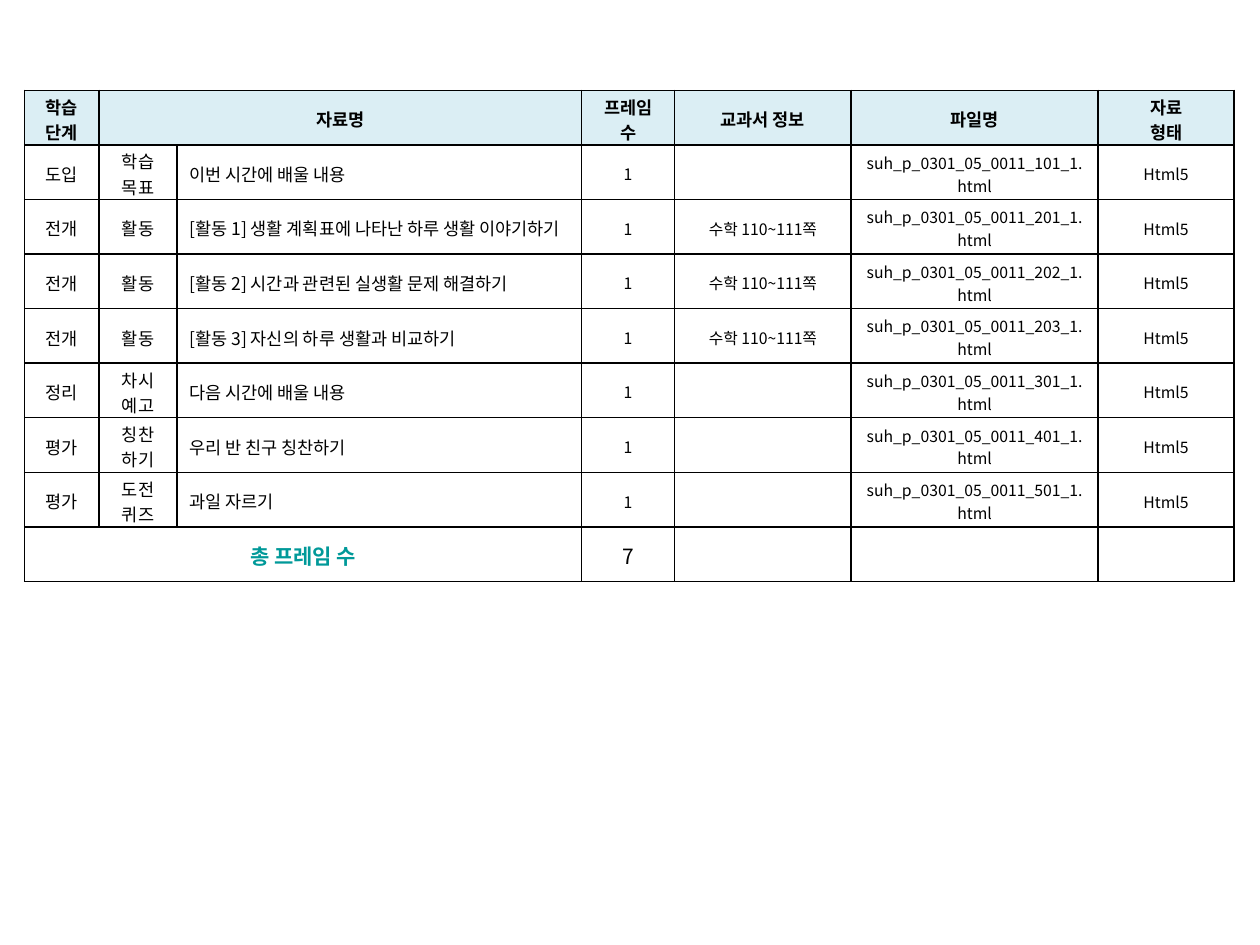
from lxml.etree import SubElement
from pptx import Presentation
from pptx.dml.color import RGBColor
from pptx.enum.text import MSO_ANCHOR, PP_ALIGN
from pptx.oxml.ns import qn
from pptx.util import Pt

FONT = "Noto Sans CJK KR"
COLORS = {"text": "000000", "border": "000000", "header": "DBEEF4", "total": "009999"}
COLUMN_WIDTHS = [42.48, 44.64, 231.12, 53.28, 100.8, 141.12, 77.76]
HEADINGS = ["학습 단계", "자료명", "", "프레임 수", "교과서 정보", "파일명", "자료\n형태"]
TEXTBOOK = "수학 110~111쪽"
LESSONS = [
    ("도입", "학습 목표", "이번 시간에 배울 내용", "", 101),
    ("전개", "활동", "[활동 1] 생활 계획표에 나타난 하루 생활 이야기하기", TEXTBOOK, 201),
    ("전개", "활동", "[활동 2] 시간과 관련된 실생활 문제 해결하기", TEXTBOOK, 202),
    ("전개", "활동", "[활동 3] 자신의 하루 생활과 비교하기", TEXTBOOK, 203),
    ("정리", "차시 예고", "다음 시간에 배울 내용", "", 301),
    ("평가", "칭찬\n하기", "우리 반 친구 칭찬하기", "", 401),
    ("평가", "도전\n퀴즈", "과일 자르기", "", 501),
]


def add_borders(cell):
    """Draw a thin solid line on all four sides of a cell."""
    properties = cell._tc.get_or_add_tcPr()
    for side in ("a:lnL", "a:lnR", "a:lnT", "a:lnB"):
        line = SubElement(properties, qn(side), w=str(Pt(1)))
        fill = SubElement(line, qn("a:solidFill"))
        SubElement(fill, qn("a:srgbClr"), val=COLORS["border"])


def fill_cell(cell, text, size, bold=False, color="text", align=PP_ALIGN.CENTER, fill=None):
    """Write and format one table cell."""
    add_borders(cell)
    if fill:
        cell.fill.solid()
        cell.fill.fore_color.rgb = RGBColor.from_string(COLORS[fill])
    else:
        cell.fill.background()
    cell.vertical_anchor = MSO_ANCHOR.MIDDLE
    cell.margin_left = cell.margin_right = Pt(7.2)
    cell.margin_top, cell.margin_bottom = Pt(2), Pt(0)
    cell.text_frame.text = text
    for para in cell.text_frame.paragraphs:
        para.alignment = align
        para.font.size = Pt(size)
        for span in para.runs:
            span.font.size = Pt(size)
            span.font.bold = bold
            span.font.name = FONT
            span.font.color.rgb = RGBColor.from_string(COLORS[color])
            SubElement(span.font._element, qn("a:ea"), typeface=FONT)


def add_lesson_table(page, left, top, width, height):
    """Place the table of lesson materials with its header and total rows."""
    row_count = len(LESSONS) + 2
    frame = page.shapes.add_table(
        row_count, len(COLUMN_WIDTHS), Pt(left), Pt(top), Pt(width), Pt(height))
    table = frame.table
    table.first_row = table.horz_banding = False
    for column, column_width in zip(table.columns, COLUMN_WIDTHS):
        column.width = Pt(column_width)
    for row in table.rows:
        row.height = Pt(height / row_count)

    for index, heading in enumerate(HEADINGS):
        fill_cell(table.cell(0, index), heading, 10, bold=True, fill="header")
    for number, (stage, part, title, textbook, code) in enumerate(LESSONS, 1):
        file_name = f"suh_p_0301_05_0011_{code}_1.html"
        values = [stage, part, title, "1", textbook, file_name, "Html5"]
        for index, value in enumerate(values):
            align = PP_ALIGN.LEFT if index == 2 else PP_ALIGN.CENTER
            fill_cell(table.cell(number, index), value, 10 if index < 3 else 9, align=align)

    last = row_count - 1
    for index, value in enumerate(["총 프레임 수", "", "", "7", "", "", ""]):
        is_label = index == 0
        fill_cell(table.cell(last, index), value, 12, bold=is_label,
                  color="total" if is_label else "text")
    table.cell(0, 1).merge(table.cell(0, 2))
    table.cell(last, 0).merge(table.cell(last, 2))


def main():
    """Build the deck and save it."""
    deck = Presentation()
    deck.slide_width, deck.slide_height = Pt(720), Pt(540)
    page = deck.slides.add_slide(deck.slide_layouts[6])
    add_lesson_table(page, 14.1, 51.6, 691.2, 280.8)
    deck.save("out.pptx")


if __name__ == "__main__":
    main()
